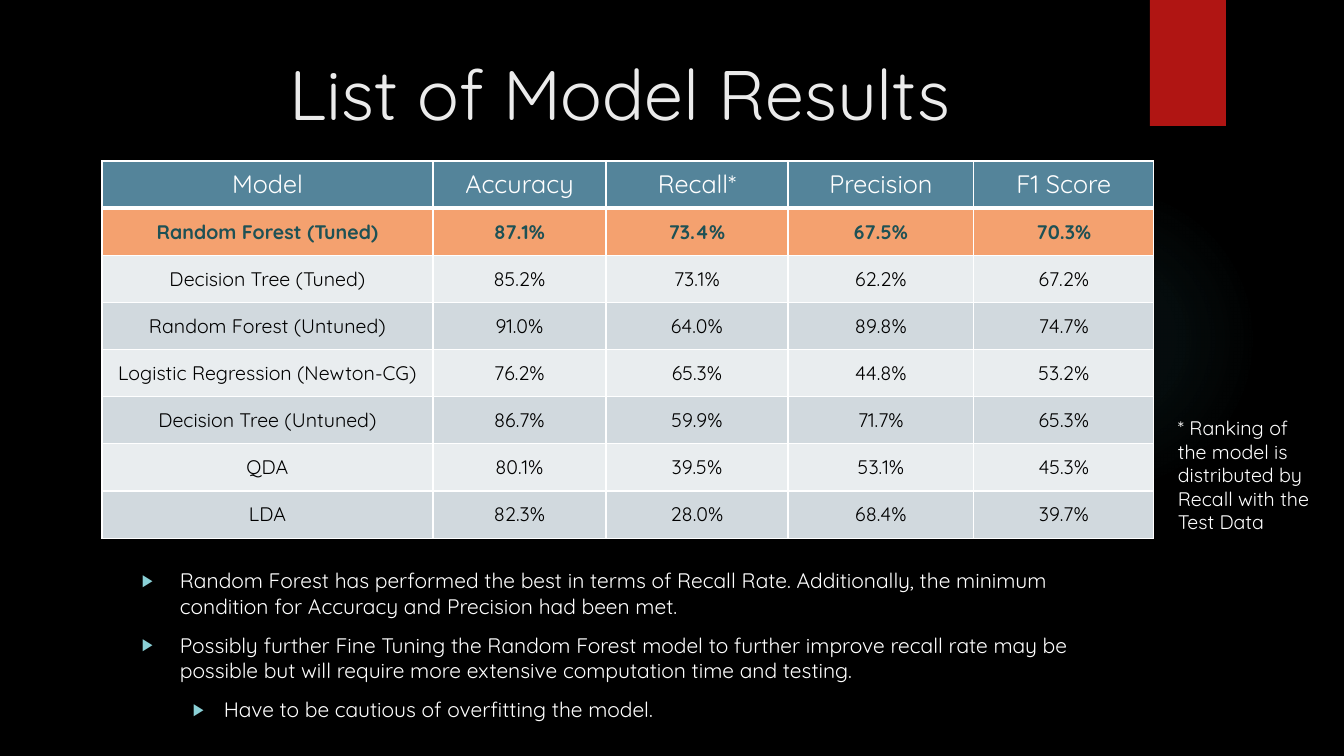
from lxml import etree
from pptx import Presentation
from pptx import util as u
from pptx.dml.color import RGBColor
from pptx.enum import shapes, text
from pptx.oxml import parse_xml
from pptx.oxml.ns import nsdecls, qn

EMU_PER_PIXEL = 914400 / 100.8


def px(pixels):
    return u.Emu(round(pixels * EMU_PER_PIXEL))


def color(hex_string):
    return RGBColor.from_string(hex_string)


class SlideBuilder:
    FONT = "Quicksand"
    WHITE = "FFFFFF"
    BULLET_COLOR = "8AD0D6"

    def __init__(self, slide):
        self.slide = slide

    def background(self, fill):
        self.slide.background.fill.solid()
        self.slide.background.fill.fore_color.rgb = color(fill)

    def shape(self, kind, left, top, width, height, fill):
        shape = self.slide.shapes.add_shape(kind, px(left), px(top), px(width), px(height))
        shape.shadow.inherit = False
        shape.line.fill.background()
        shape.fill.solid()
        shape.fill.fore_color.rgb = color(fill)
        return shape

    def glow(self, left, top, size, fill, stops):
        """Circle with a radial fade; stops are (position %, opacity %)."""
        circle = self.shape(shapes.MSO_SHAPE.OVAL, left, top, size, size, fill)
        stop_xml = "".join(
            f'<a:gs pos="{position * 1000}"><a:srgbClr val="{fill}">'
            f'<a:alpha val="{opacity * 1000}"/></a:srgbClr></a:gs>'
            for position, opacity in stops)
        gradient = parse_xml(
            f'<a:gradFill {nsdecls("a")}><a:gsLst>{stop_xml}</a:gsLst><a:path path="circle">'
            '<a:fillToRect l="50000" t="50000" r="50000" b="50000"/></a:path></a:gradFill>')
        properties = circle.fill._xPr
        properties.replace(properties.find(qn("a:solidFill")), gradient)

    def style(self, para, size, ink=WHITE, bold=False, align=text.PP_ALIGN.LEFT):
        para.alignment = align
        for span in para.runs:
            span.font.name = self.FONT
            span.font.size = u.Pt(size)
            span.font.bold = bold
            span.font.color.rgb = color(ink)

    def text_box(self, left, top, width, height, words, size,
                 anchor=text.MSO_ANCHOR.TOP, **style):
        box = self.slide.shapes.add_textbox(px(left), px(top), px(width), px(height))
        frame = box.text_frame
        frame.word_wrap = True
        frame.vertical_anchor = anchor
        frame.text = words
        for para in frame.paragraphs:
            self.style(para, size, **style)
        return frame

    def bullets(self, left, top, width, height, items, size):
        """Items are (level, words)."""
        words = "\n".join(line for _, line in items)
        frame = self.text_box(left, top, width, height, words, size)
        indents = [(38, 38), (82, 31)]
        for para, (level, _) in zip(frame.paragraphs, items):
            margin, hanging = indents[level]
            para.level = level
            para.space_before = u.Pt(10)
            properties = para._p.get_or_add_pPr()
            properties.set("marL", str(px(margin)))
            properties.set("indent", str(-px(hanging)))
            bullet_color = etree.SubElement(properties, qn("a:buClr"))
            etree.SubElement(bullet_color, qn("a:srgbClr"), val=self.BULLET_COLOR)
            etree.SubElement(properties, qn("a:buSzPct"), val="80000")
            etree.SubElement(properties, qn("a:buFont"), typeface="Arial")
            etree.SubElement(properties, qn("a:buChar"), char="▶")

    def cell_borders(self, cell, bottom):
        properties = cell._tc.get_or_add_tcPr()
        widths = {"lnL": 1, "lnR": 1, "lnT": 1, "lnB": bottom}
        for index, (side, points) in enumerate(widths.items()):
            properties.insert(index, parse_xml(
                f'<a:{side} {nsdecls("a")} w="{u.Pt(points)}"><a:solidFill>'
                f'<a:srgbClr val="{self.WHITE}"/></a:solidFill></a:{side}>'))

    def table(self, left, top, widths, row_height, rows, row_styles):
        """Row styles are (fill, ink, size, bold, bottom border)."""
        table = self.slide.shapes.add_table(
            len(rows), len(widths), px(left), px(top),
            px(sum(widths)), px(row_height * len(rows))).table
        for column, width in zip(table.columns, widths):
            column.width = px(width)
        for row, values, row_style in zip(table.rows, rows, row_styles):
            fill, ink, size, bold, bottom = row_style
            row.height = px(row_height)
            for cell, value in zip(row.cells, values):
                cell.text_frame.text = value
                cell.vertical_anchor = text.MSO_ANCHOR.MIDDLE
                cell.fill.solid()
                cell.fill.fore_color.rgb = color(fill)
                self.style(cell.text_frame.paragraphs[0], size, ink, bold,
                           text.PP_ALIGN.CENTER)
                self.cell_borders(cell, bottom)


deck = Presentation()
deck.slide_width, deck.slide_height = px(1344), px(756)
page = SlideBuilder(deck.slides.add_slide(deck.slide_layouts[6]))

# Backdrop
page.background("000000")
page.glow(949, 184, 310, "50B9C1", [(0, 7), (36, 6), (69, 0)])
page.shape(shapes.MSO_SHAPE.RECTANGLE, 1150, 0, 76, 126, "B01513")

# Title
page.text_box(102, 49, 1037, 87, "List of Model Results", 50, ink="EBEBEB",
              anchor=text.MSO_ANCHOR.MIDDLE, align=text.PP_ALIGN.CENTER)

# Model results: header, best model, then banded rows
results = [
    ("Model", "Accuracy", "Recall*", "Precision", "F1 Score"),
    ("Random Forest (Tuned)", "87.1%", "73.4%", "67.5%", "70.3%"),
    ("Decision Tree (Tuned)", "85.2%", "73.1%", "62.2%", "67.2%"),
    ("Random Forest (Untuned)", "91.0%", "64.0%", "89.8%", "74.7%"),
    ("Logistic Regression (Newton-CG)", "76.2%", "65.3%", "44.8%", "53.2%"),
    ("Decision Tree (Untuned)", "86.7%", "59.9%", "71.7%", "65.3%"),
    ("QDA", "80.1%", "39.5%", "53.1%", "45.3%"),
    ("LDA", "82.3%", "28.0%", "68.4%", "39.7%"),
]
header_style = ("54849A", "FFFFFF", 18, False, 3)
best_style = ("F4A16F", "1E5155", 14, True, 1)
band_styles = [(fill, "000000", 14, False, 1) for fill in ("E9EDEF", "D1D9DE")]
page.table(102, 161, [331, 173, 182, 186, 180], 47.15, results,
           [header_style, best_style] + band_styles * 3)

# Conclusions
page.bullets(132, 563, 1011, 131, [
    (0, "Random Forest has performed the best in terms of Recall Rate. Additionally, "
        "the minimum condition for Accuracy and Precision had been met."),
    (0, "Possibly further Fine Tuning the Random Forest model to further improve recall "
        "rate may be possible but will require more extensive computation time and testing."),
    (1, "Have to be cautious of overfitting the model."),
], 15)

# Footnote on ranking
footnote = page.text_box(
    1168, 411, 154, 152,
    "* Ranking of the model is distributed by Recall with the Test Data", 14)
footnote.auto_size = text.MSO_AUTO_SIZE.SHAPE_TO_FIT_TEXT

deck.save("out.pptx")
